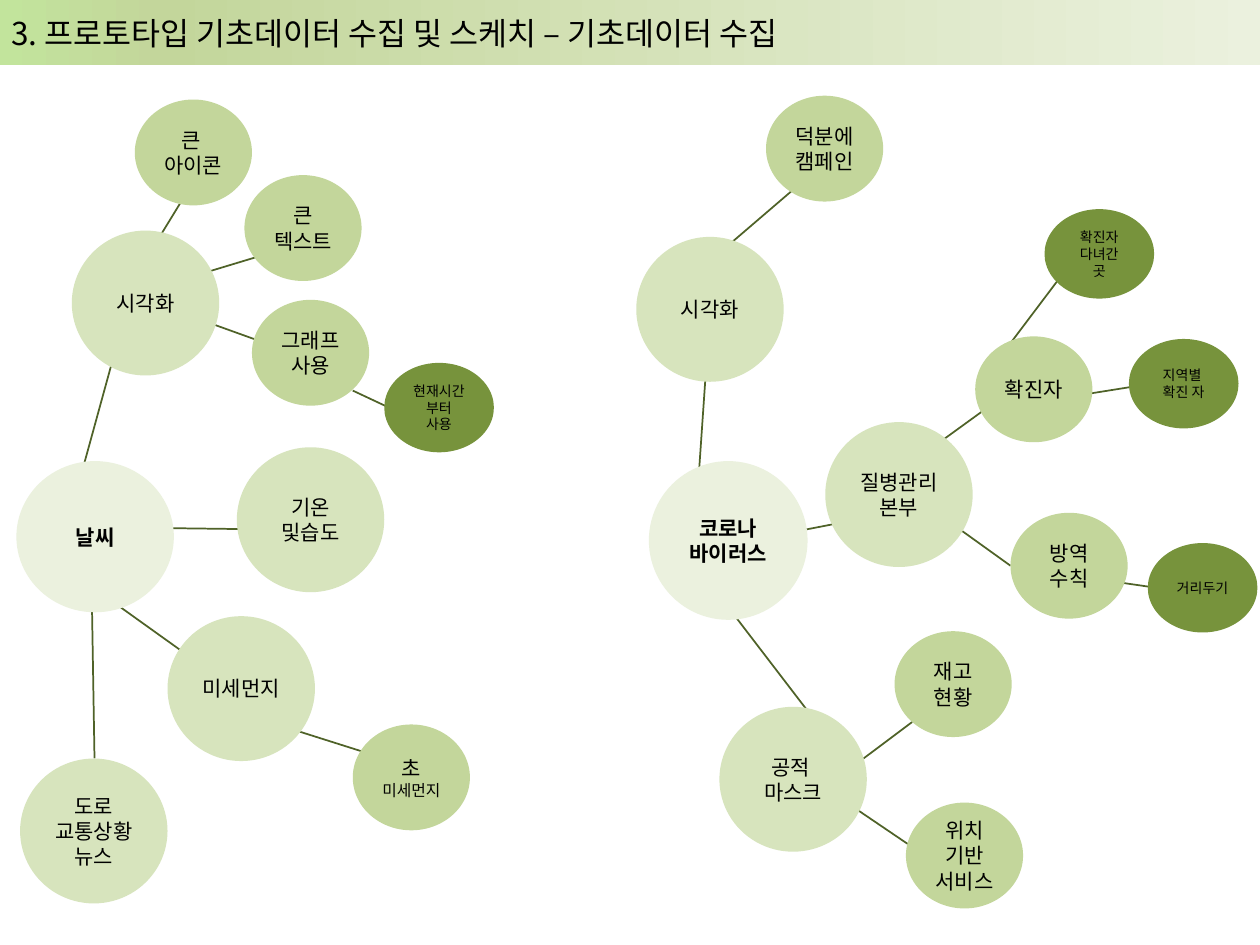
from copy import deepcopy

from pptx import Presentation
from pptx.dml.color import RGBColor
from pptx.enum.shapes import MSO_CONNECTOR, MSO_SHAPE
from pptx.enum.text import MSO_ANCHOR, PP_ALIGN
from pptx.oxml.ns import qn
from pptx.util import Inches, Pt

FONT = "Noto Sans CJK KR"


def color(hex_value):
    return RGBColor.from_string(hex_value)


def style_text(paragraph, size, bold=False):
    for run in paragraph.runs:
        run.font.name = FONT
        run.font.size = Pt(size)
        run.font.bold = bold
        run.font.color.rgb = color("000000")
        east_asian = run.font._element.makeelement(qn("a:ea"), {"typeface": FONT})
        run.font._element.find(qn("a:latin")).addnext(east_asian)


prs = Presentation()
prs.slide_width, prs.slide_height = Inches(10), Inches(7.5)
slide = prs.slides.add_slide(prs.slide_layouts[6])
shapes = slide.shapes

# Title bar with a three-stop gradient
title = shapes.add_shape(MSO_SHAPE.RECTANGLE, Inches(-0.01), 0, Inches(10.01), Inches(0.52))
title.shadow.inherit = False
title.line.fill.background()
title.fill.gradient()
title.fill.gradient_angle = 0
stop_list = title._element.spPr.find(qn("a:gradFill")).find(qn("a:gsLst"))
stop_list.append(deepcopy(stop_list[-1]))
gradient = [(0, "C2E49C"), (0.13, "C3D69B"), (1, "EBF1DE")]
for stop, (position, shade) in zip(title.fill.gradient_stops, gradient):
    stop.position = position
    stop.color.rgb = color(shade)
title.text_frame.text = "3. 프로토타입 기초데이터 수집 및 스케치 – 기초데이터 수집"
title.text_frame.vertical_anchor = MSO_ANCHOR.MIDDLE
title.text_frame.paragraphs[0].alignment = PP_ALIGN.LEFT
style_text(title.text_frame.paragraphs[0], 18)

# Branches, drawn beneath the bubbles: x1, y1, x2, y2
branches = [
    # Weather map
    (0.66, 3.71, 0.91, 2.8), (1.19, 4.19, 2, 4.2), (1.23, 1.94, 1.53, 1.45),
    (1.64, 2.16, 2.07, 2.03), (1.57, 2.53, 2.07, 2.71), (2.8, 3.1, 3.29, 3.33),
    (0.79, 4.7, 1.53, 5.23), (2.23, 5.76, 3.05, 6.02), (0.73, 4.81, 0.75, 6.02),
    # Coronavirus map
    (6.1, 4.26, 6.72, 4.14), (5.78, 4.82, 6.5, 5.76), (7.32, 3.61, 7.83, 3.24),
    (7.63, 4.21, 8.02, 4.49), (6.72, 6.12, 7.24, 5.73), (6.72, 6.37, 7.34, 6.79),
    (8.03, 2.71, 8.49, 2.1), (8.42, 3.16, 9.11, 3.05), (5.55, 3.71, 5.64, 2.4),
    (5.8, 1.93, 6.29, 1.51), (8.73, 4.6, 9.42, 4.7),
]
for ends in branches:
    branch = shapes.add_connector(MSO_CONNECTOR.STRAIGHT, *map(Inches, ends))
    branch.line.color.rgb = color("4F6228")
    branch.line.width = Pt(1)
    properties = branch._element.spPr
    properties.append(properties.makeelement(qn("a:effectLst"), {}))

# Bubbles by level: width, height, fill, text size, bold, [(left, top, text)]
levels = [
    (1.25, 1.2, "EBF1DE", 12, True, [(0.13, 3.66, "날씨")]),
    (1.26, 1.26, "EBF1DE", 12, True, [(5.15, 3.66, "코로나\n바이러스")]),
    (1.17, 1.15, "D7E4BD", 12, False, [
        (0.57, 1.83, "시각화"),
        (1.88, 3.55, "기온 및습도"),
        (1.33, 4.89, "미세먼지"),
        (0.16, 6.02, "도로\n교통상황 뉴스"),
        (5.05, 1.88, "시각화"),
        (6.55, 3.35, "질병관리본부"),
        (5.71, 5.61, "공적 \n마스크"),
    ]),
    (0.93, 0.84, "C3D69B", 12, False, [
        (1.07, 0.79, "큰 \n아이콘"),
        (1.94, 1.39, "큰\n텍스트"),
        (2, 2.38, "그래프\n사용"),
        (2.8, 5.75, "초\n미세먼지"),
        (6.08, 0.76, "덕분에\n캠페인"),
        (7.74, 2.67, "확진자 "),
        (8.02, 4.07, "방역\n수칙"),
        (7.1, 5.01, "재고\n현황"),
        (7.19, 6.37, "위치\n기반\n서비스"),
    ]),
    (0.87, 0.71, "77933C", 8, False, [
        (3.05, 2.88, "현재시간부터\n사용"),
        (8.29, 1.66, "확진자 다녀간 곳"),
        (8.96, 2.69, "지역별 \n확진 자"),
        (9.11, 4.31, "거리두기"),
    ]),
]
for width, height, fill, size, bold, topics in levels:
    for left, top, text in topics:
        bubble = shapes.add_shape(MSO_SHAPE.OVAL, *map(Inches, (left, top, width, height)))
        bubble.shadow.inherit = False
        bubble.fill.solid()
        bubble.fill.fore_color.rgb = color(fill)
        bubble.line.fill.background()
        bubble.text_frame.text = text
        bubble.text_frame.word_wrap = True
        bubble.text_frame.vertical_anchor = MSO_ANCHOR.MIDDLE
        for paragraph in bubble.text_frame.paragraphs:
            paragraph.alignment = PP_ALIGN.CENTER
            style_text(paragraph, size, bold)
        # The fine-dust caption is smaller than its first line
        if text == "초\n미세먼지":
            bubble.text_frame.paragraphs[1].runs[0].font.size = Pt(9)

prs.save("out.pptx")
